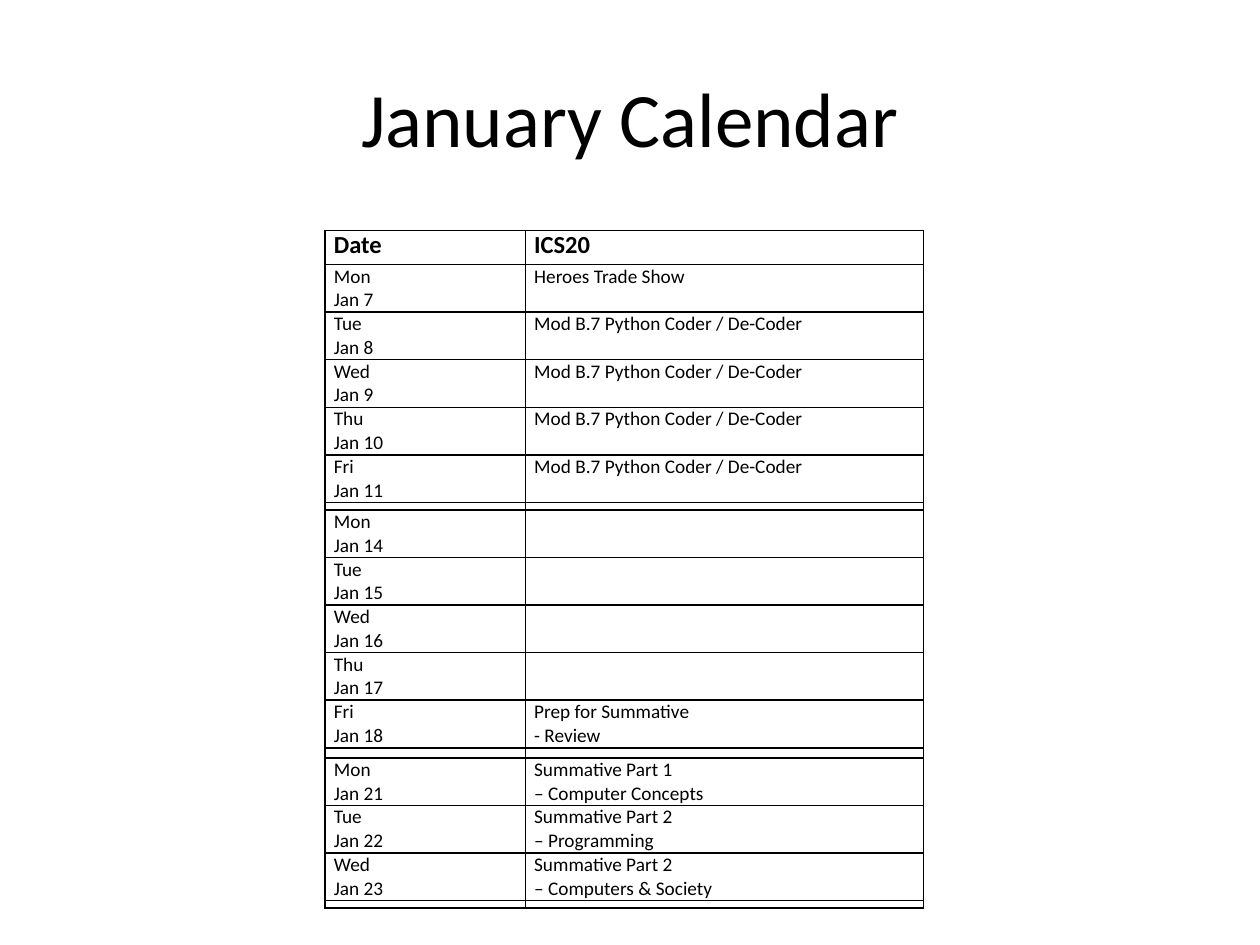
from dataclasses import dataclass

from lxml import etree
from pptx import Presentation
from pptx import util as u
from pptx.dml.color import RGBColor
from pptx.enum import text
from pptx.oxml.ns import qn


@dataclass(frozen=True)
class Theme:
    """Colours, font and type sizes of the slide."""
    ink: str = "000000"
    font: str = "Calibri"
    title_size: int = 44
    header_size: int = 14
    body_size: int = 11
    gap_size: int = 3
    border_width: int = 1


THEME = Theme()
COLUMN_WIDTHS = (1.59, 3.16)
HEADER_HEIGHT = 0.27
DAY_HEIGHT = 0.33
CODER = "Mod B.7 Python Coder / De-Coder"
HEADINGS = ("Date", "ICS20")
# Each week: first date, lessons from Monday on, height of the gap row below.
WEEKS = (
    (7, ("Heroes Trade Show", CODER, CODER, CODER, CODER), 0.06),
    (14, ("", "", "", "", "Prep for Summative \n- Review"), 0.08),
    (21, ("Summative Part 1 \n– Computer Concepts",
          "Summative Part 2 \n– Programming",
          "Summative Part 2 \n– Computers & Society"), 0.06),
)
WEEKDAYS = ("Mon", "Tue", "Wed", "Thu", "Fri ")


def style_paragraph(paragraph, size, bold=False):
    """Format the runs of a paragraph, or its end mark when it is empty."""
    for run in paragraph.runs:
        run.font.name = THEME.font
        run.font.size = u.Pt(size)
        run.font.bold = bold
        run.font.color.rgb = RGBColor.from_string(THEME.ink)
    if not paragraph.runs:
        end_mark = etree.SubElement(paragraph._p, qn("a:endParaRPr"))
        end_mark.set("sz", str(size * 100))


def add_title(slide, title):
    """Add the centred slide title."""
    shape = slide.shapes.add_textbox(
        u.Inches(0.5), u.Inches(0.3), u.Inches(9), u.Inches(1.25))
    frame = shape.text_frame
    frame.word_wrap = True
    frame.vertical_anchor = text.MSO_ANCHOR.MIDDLE
    frame.text = title
    paragraph = frame.paragraphs[0]
    paragraph.alignment = text.PP_ALIGN.CENTER
    style_paragraph(paragraph, THEME.title_size)


def add_borders(cell):
    """Draw a solid line on all four sides of a cell."""
    properties = cell._tc.get_or_add_tcPr()
    for side in ("lnL", "lnR", "lnT", "lnB"):
        line = etree.SubElement(properties, qn(f"a:{side}"))
        line.set("w", str(u.Pt(THEME.border_width)))
        fill = etree.SubElement(line, qn("a:solidFill"))
        etree.SubElement(fill, qn("a:srgbClr")).set("val", THEME.ink)


def fill_cell(cell, content, size, bold):
    """Set the text, margins, borders and fill of a cell."""
    cell.margin_left = cell.margin_right = u.Inches(0.07)
    cell.margin_top = cell.margin_bottom = 0
    add_borders(cell)
    cell.fill.background()
    cell.text_frame.text = content
    for paragraph in cell.text_frame.paragraphs:
        style_paragraph(paragraph, size, bold)


def calendar_rows():
    """List the rows as (texts, height, type size, bold)."""
    rows = [(HEADINGS, HEADER_HEIGHT, THEME.header_size, True)]
    for first_date, lessons, gap_height in WEEKS:
        for offset, (weekday, lesson) in enumerate(zip(WEEKDAYS, lessons)):
            date = f"{weekday}\nJan {first_date + offset}"
            rows.append(((date, lesson), DAY_HEIGHT, THEME.body_size, False))
        rows.append((("", ""), gap_height, THEME.gap_size, False))
    return rows


def add_calendar(slide):
    """Add the calendar table."""
    rows = calendar_rows()
    frame = slide.shapes.add_table(
        len(rows), len(COLUMN_WIDTHS), u.Inches(2.58), u.Inches(1.83),
        u.Inches(sum(COLUMN_WIDTHS)), u.Inches(5.25))
    table = frame.table
    table.first_row = table.horz_banding = False
    for column, width in zip(table.columns, COLUMN_WIDTHS):
        column.width = u.Inches(width)
    for row, (contents, height, size, bold) in zip(table.rows, rows):
        row.height = u.Inches(height)
        for cell, content in zip(row.cells, contents):
            fill_cell(cell, content, size, bold)
    frame.height = u.Inches(5.25)


def main():
    """Build and save the presentation."""
    presentation = Presentation()
    presentation.slide_width = u.Inches(10)
    presentation.slide_height = u.Inches(7.5)
    slide = presentation.slides.add_slide(presentation.slide_layouts[6])
    add_calendar(slide)
    add_title(slide, "January Calendar")
    presentation.save("out.pptx")


main()
